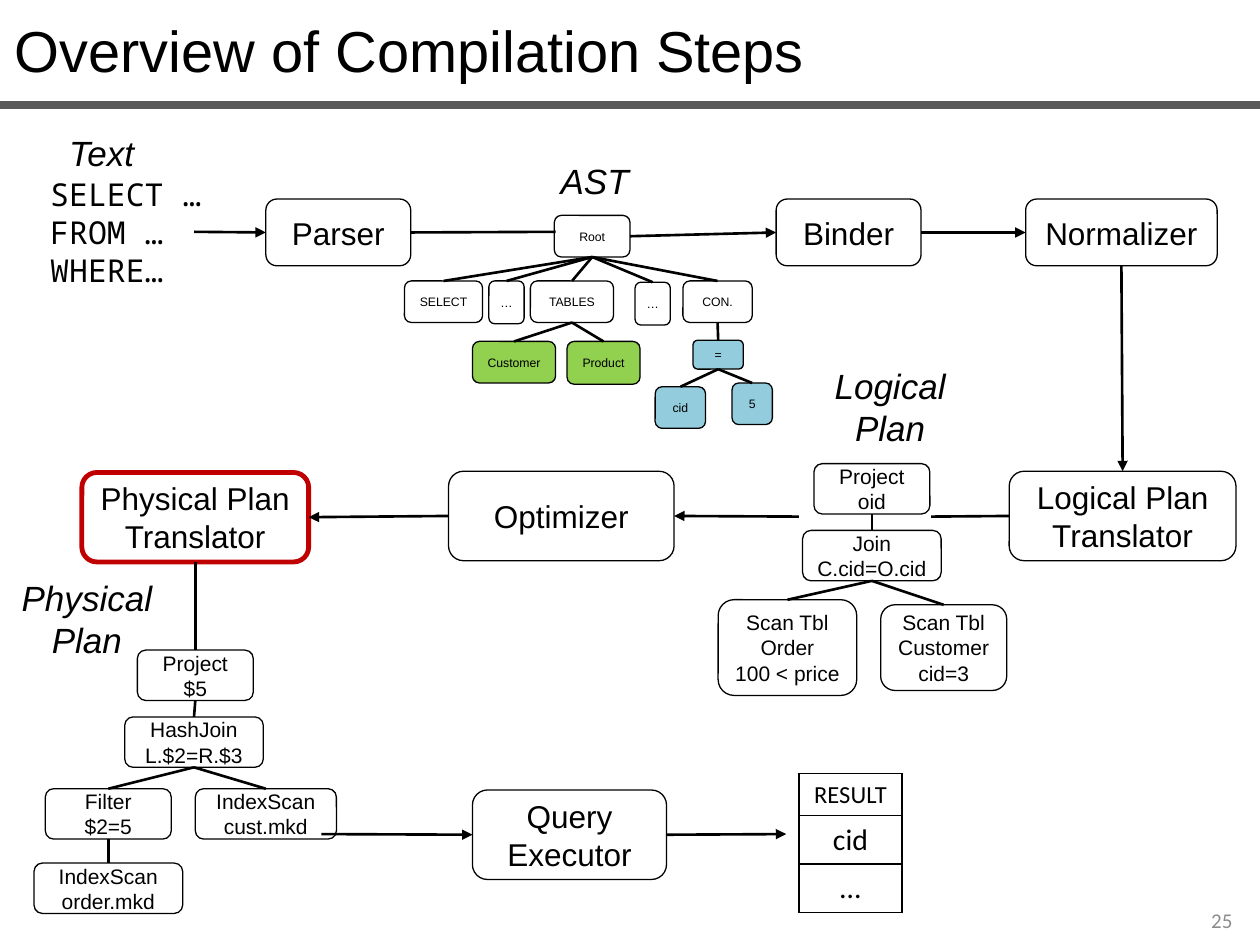
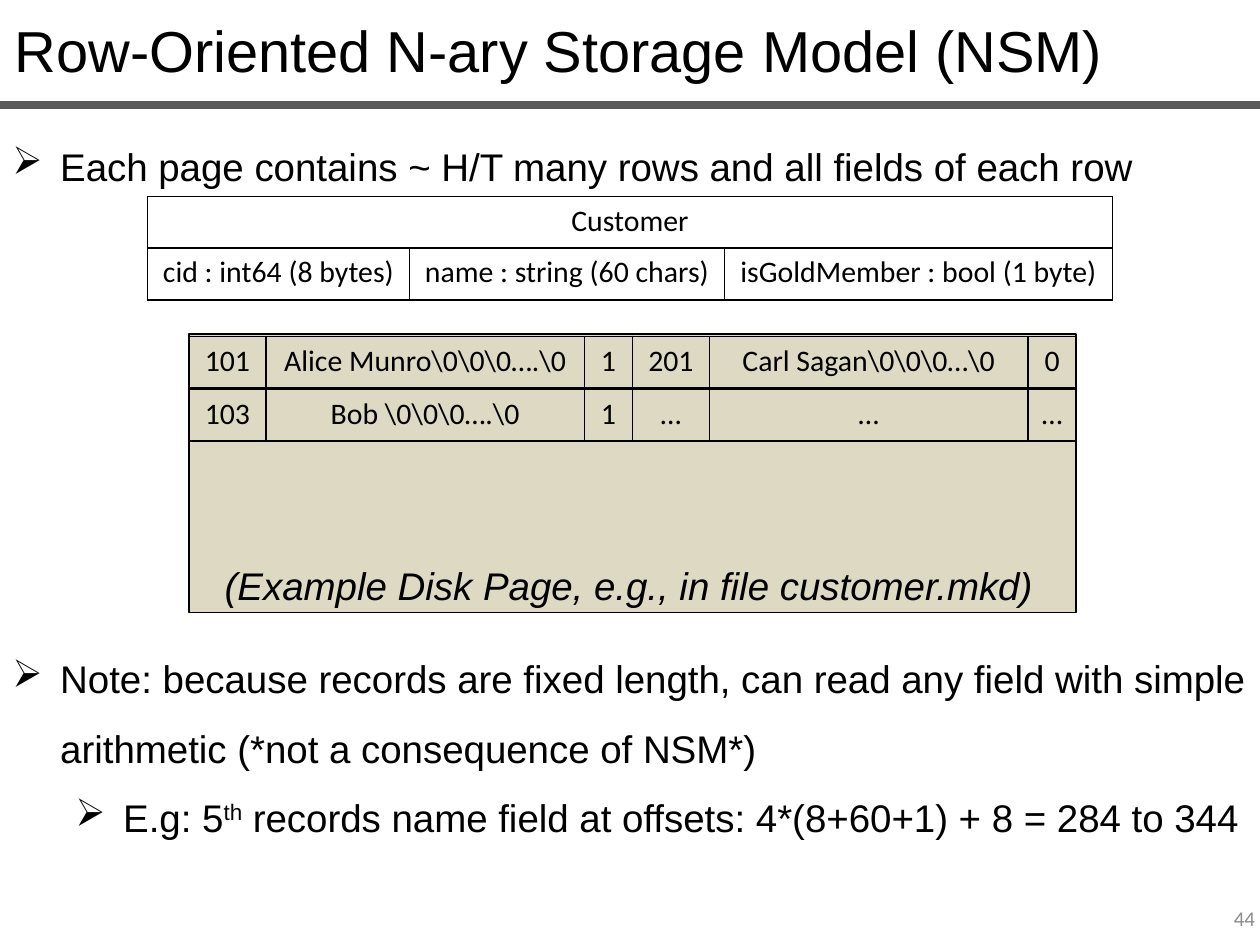
from lxml.etree import SubElement as Sub
from pptx import Presentation
from pptx.dml.color import RGBColor
from pptx.enum.shapes import MSO_CONNECTOR as Line, MSO_SHAPE as Shape
from pptx.enum.text import MSO_ANCHOR as Anchor, PP_ALIGN as Align
from pptx.oxml.ns import qn
from pptx.util import Pt

PX = 9144
WIDE, HIGH = 1000, 750
BLACK = RGBColor(0x00, 0x00, 0x00)
WHITE = RGBColor(0xFF, 0xFF, 0xFF)
RULE = RGBColor(0x59, 0x59, 0x59)
GREY = RGBColor(0x8C, 0x8C, 0x8C)
GREEN = RGBColor(0x92, 0xD0, 0x50)
BLUE = RGBColor(0x93, 0xCD, 0xDD)
RED = RGBColor(0xC0, 0x00, 0x00)
SAND = RGBColor(0xDD, 0xD9, 0xC3)
SANS, BODY, MONO = "Arial", "Calibri", "Noto Sans Mono"
TOP, LEFT, BOTTOM, RIGHT = range(4)

STEPS = {
    "parser": ("Parser", 211, 158, 115, 53),
    "binder": ("Binder", 616, 158, 115, 53),
    "normal": ("Normalizer", 814, 158, 152, 53),
    "logic": ("Logical Plan Translator", 801, 374, 180, 71),
    "optim": ("Optimizer", 356, 374, 179, 71),
    "phys": ("Physical Plan Translator", 65, 375, 180, 71),
    "exec": ("Query Executor", 375, 627, 154, 71),
}
AST = {
    "root": ("Root", 440, 171, 60, 33),
    "select": ("SELECT", 321, 223, 62, 33),
    "dots": ("…", 388, 223, 28, 34),
    "tables": ("TABLES", 421, 223, 66, 33),
    "more": ("…", 504, 224, 28, 34),
    "con": ("CON.", 542, 223, 55, 33),
    "cust": ("Customer", 375, 271, 66, 33, GREEN),
    "prod": ("Product", 450, 271, 58, 34, GREEN),
    "equal": ("=", 550, 270, 40, 23, BLUE),
    "cid": ("cid", 520, 307, 40, 33, BLUE),
    "five": ("5", 581, 304, 32, 33, BLUE),
}
PLANS = {
    "oid": ("Project\noid", 646, 368, 92, 40),
    "join": ("Join\nC.cid=O.cid", 637, 421, 110, 40),
    "order": ("Scan Tbl\nOrder\n100 < price", 570, 476, 110, 76, WHITE),
    "buyer": ("Scan Tbl\nCustomer\ncid=3", 699, 480, 100, 68, WHITE),
    "col": ("Project\n$5", 109, 516, 92, 40),
    "hash": ("HashJoin\nL.$2=R.$3", 99, 569, 110, 40),
    "filter": ("Filter\n$2=5", 36, 626, 100, 40),
    "file": ("IndexScan\norder.mkd", 27, 685, 118, 40, WHITE),
    "index": ("IndexScan cust.mkd", 155, 626, 112, 40, WHITE),
}
TREES = {
    "root": ("select", "dots", "tables", "more", "con"),
    "tables": ("cust", "prod"),
    "con": ("equal",),
    "equal": ("cid", "five"),
    "oid": ("join",),
    "join": ("order", "buyer"),
    "col": ("hash",),
    "hash": ("filter", "index"),
    "filter": ("file",),
    "phys": ("col",),
}
FLOWS = [
    ((154, 184), ("parser", LEFT), True),
    (("parser", RIGHT), (441, 184), False),
    (("root", RIGHT), ("binder", LEFT), True),
    (("binder", RIGHT), ("normal", LEFT), True),
    (("normal", BOTTOM), ("logic", TOP), True),
    (("logic", LEFT), (739, 410), False),
    ((634, 410), ("optim", RIGHT), True),
    (("optim", LEFT), ("phys", RIGHT), True),
    ((255, 662), ("exec", LEFT), True),
    (("exec", RIGHT), (624, 662), True),
]
LABELS = [
    ("AST", (435, 105, 81, 54), Align.LEFT, 1.5),
    ("Text", (45, 83, 81, 54), Align.LEFT, 1.5),
    ("Logical Plan", (623, 284, 167, 77), Align.CENTER, None),
    ("Physical Plan", (7, 453, 124, 77), Align.CENTER, None),
]
QUERY = "SELECT …\nFROM …\nWHERE…"
RESULT = [["RESULT"], ["cid"], ["…"]]

SCHEMA = [
    ["Customer", "", ""],
    ["cid : int64 (8 bytes)", "name : string (60 chars)", "isGoldMember : bool (1 byte)"],
]
PAGE = [
    [["101", r"Alice Munro\0\0\0….\0", "1"], ["201", r"Carl Sagan\0\0\0…\0", "0"]],
    [["103", r"Bob \0\0\0….\0", "1"], ["…", "…", "…"]],
]
FIELDS = (61, 253, 38)
INTRO = "Each page contains ~ H/T many rows and all fields of each row"
NOTE = ("Note: because records are fixed length, can read any field with simple "
        "arithmetic (*not a consequence of NSM*)\n"
        "E.g: 5^th^ records name field at offsets: 4*(8+60+1) + 8 = 284 to 344")


def emu(*nums):
    return [n * PX for n in nums]


def write(frame, text, size, font=SANS, color=BLACK, align=Align.LEFT,
          space=None, slant=False, mark=False):
    frame.word_wrap = True
    for row, line in enumerate(text.split("\n")):
        para = frame.paragraphs[0] if row == 0 else frame.add_paragraph()
        para.alignment = align
        if space:
            para.line_spacing = space
        if mark:
            para.level = row
            props = para._p.get_or_add_pPr()
            props.set("marL", str((38 + 50 * row) * PX))
            props.set("indent", str(-38 * PX))
            Sub(props, qn("a:buChar"), char="➢")
        for turn, part in enumerate(line.split("^")):
            run = para.add_run()
            run.text = part
            run.font.size, run.font.name = Pt(size), font
            run.font.color.rgb = color
            if slant:
                run.font.italic = True
            if turn % 2:
                run._r.get_or_add_rPr().set("baseline", "30000")


def note(slide, text, place, size, **look):
    frame = slide.shapes.add_textbox(*emu(*place)).text_frame
    write(frame, text, size, **look)
    return frame


def block(slide, kind, place, fill=None, line=BLACK, width=0.75):
    shape = slide.shapes.add_shape(kind, *emu(*place))
    shape.shadow.inherit = False
    if fill is None:
        shape.fill.background()
    else:
        shape.fill.solid()
        shape.fill.fore_color.rgb = fill
    shape.line.color.rgb = line
    shape.line.width = Pt(width)
    return shape


def nodes(slide, items, size):
    made = {}
    for name, (text, x, y, w, h, *fill) in items.items():
        edge = (RED, 2.75) if name == "phys" else (BLACK, 0.75)
        shape = block(slide, Shape.ROUNDED_RECTANGLE, (x, y, w, h), *(fill or [None]), *edge)
        frame = shape.text_frame
        frame.margin_left = frame.margin_right = 5 * PX
        frame.margin_top = frame.margin_bottom = 0
        frame.vertical_anchor = Anchor.MIDDLE
        write(frame, text, size, align=Align.CENTER)
        made[name] = shape
    return made


def stroke(slide, start, end, color=BLACK, width=1.5, arrow=False, boxes=None):
    def spot(point):
        return (0, 0) if point[0] in (boxes or {}) else point

    link = slide.shapes.add_connector(Line.STRAIGHT, *emu(*spot(start), *spot(end)))
    for join, point in ((link.begin_connect, start), (link.end_connect, end)):
        if point[0] in (boxes or {}):
            join(boxes[point[0]], point[1])
    link.line.color.rgb = color
    link.line.width = Pt(width)
    if arrow:
        Sub(link.line._get_or_add_ln(), qn("a:tailEnd"), type="triangle")
    Sub(link._element.spPr, qn("a:effectLst"))


def grid(slide, rows, spot, cols, high, head=17):
    frame = slide.shapes.add_table(len(rows), len(cols),
                                   *emu(*spot, sum(cols), high * len(rows)))
    table = frame.table
    table.first_row = table.horz_banding = False
    for col, wide in zip(table.columns, cols):
        col.width = wide * PX
    for r, row in enumerate(rows):
        table.rows[r].height = high * PX
        for c, text in enumerate(row):
            cell = table.cell(r, c)
            props = cell._tc.get_or_add_tcPr()
            for side in "LRTB":
                edge = Sub(props, qn("a:ln" + side), w=str(Pt(1)))
                paint = Sub(edge, qn("a:solidFill"))
                Sub(paint, qn("a:srgbClr"), val=str(BLACK))
            cell.fill.background()
            if text:
                write(cell.text_frame, text, 17 if r else head, BODY, align=Align.CENTER)
    return table


def start(deck, title, page, spot):
    slide = deck.slides.add_slide(deck.slide_layouts[6])
    note(slide, title, (2, 7, WIDE, 66), 33)
    stroke(slide, (0, 83), (WIDE, 83), RULE, 4.5)
    foot = note(slide, page, (*spot, 233, 40), 12, font=BODY, color=GREY, align=Align.RIGHT)
    foot.vertical_anchor = Anchor.MIDDLE
    return slide


def steps(deck):
    slide = start(deck, "Overview of Compilation Steps", "25", (755, 710))
    note(slide, QUERY, (30, 134, 148, 101), 18, font=MONO)
    boxes = {}
    for items, size in ((STEPS, 18), (AST, 7), (PLANS, 12)):
        boxes.update(nodes(slide, items, size))
    for top, kids in TREES.items():
        for kid in kids:
            stroke(slide, (top, BOTTOM), (kid, TOP), boxes=boxes)
    for tail, tip, arrow in FLOWS:
        stroke(slide, tail, tip, arrow=arrow, boxes=boxes)
    grid(slide, RESULT, (634, 614), (82,), 31, head=14)
    for text, place, align, space in LABELS:
        note(slide, text, place, 20, align=align, space=space, slant=True)


def storage(deck):
    slide = start(deck, "Row-Oriented N-ary Storage Model (NSM)", "44", (773, 709))
    note(slide, INTRO, (0, 90, WIDE, 59), 22, space=1.5, mark=True)
    block(slide, Shape.RECTANGLE, (150, 265, 704, 221), SAND)
    table = grid(slide, SCHEMA, (117, 156), (208, 250, 308), 41)
    table.cell(0, 0).merge(table.cell(0, 2))
    for r, pair in enumerate(PAGE):
        for c, record in enumerate(pair):
            grid(slide, [record], (150 + c * sum(FIELDS), 267 + r * 42), FIELDS, 41)
    note(slide, NOTE, (0, 497, WIDE, 170), 22, space=1.5, mark=True)
    note(slide, "(Example Disk Page, e.g., in file customer.mkd)", (147, 423, 704, 59), 22,
         align=Align.CENTER, space=1.5, slant=True)


def main():
    deck = Presentation()
    deck.slide_width, deck.slide_height = emu(WIDE, HIGH)
    steps(deck)
    storage(deck)
    deck.save("out.pptx")


if __name__ == "__main__":
    main()
